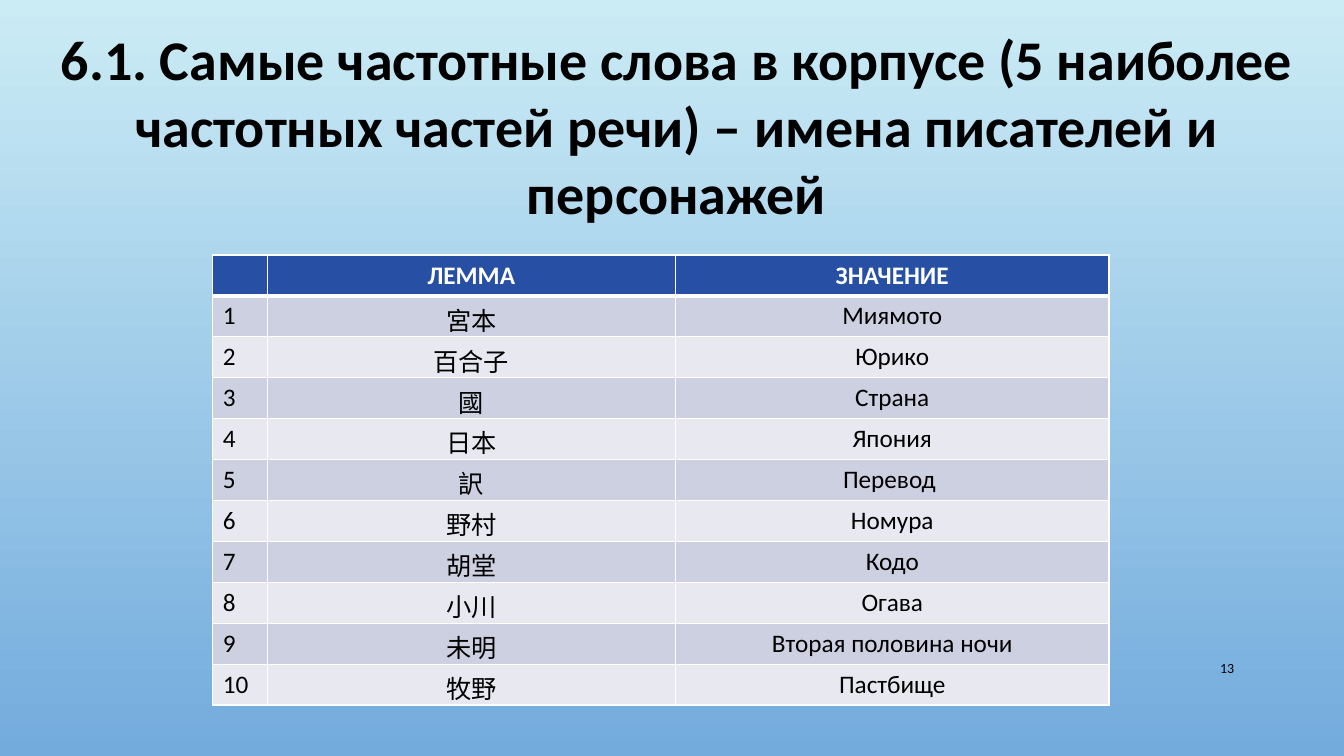
from lxml.etree import SubElement
from pptx import Presentation
from pptx.dml.color import RGBColor
from pptx.enum.text import MSO_ANCHOR, PP_ALIGN
from pptx.oxml.ns import qn
from pptx.util import Inches, Pt

BLACK = RGBColor(0x00, 0x00, 0x00)
WHITE = RGBColor(0xFF, 0xFF, 0xFF)
SKY_TOP = RGBColor(0xCB, 0xEC, 0xF5)
SKY_BOTTOM = RGBColor(0x73, 0xAB, 0xDD)
HEADER_BLUE = RGBColor(0x27, 0x4F, 0xA4)
BAND_DARK = RGBColor(0xCD, 0xD0, 0xE0)
BAND_LIGHT = RGBColor(0xE8, 0xE9, 0xF0)

TITLE = ("6.1. Самые частотные слова в корпусе (5 наиболее частотных "
         "частей речи) – имена писателей и персонажей")
HEADINGS = ("", "ЛЕММА", "ЗНАЧЕНИЕ")
LEMMAS = (
    ("宮本", "Миямото"),
    ("百合子", "Юрико"),
    ("國", "Страна"),
    ("日本", "Япония"),
    ("訳", "Перевод "),
    ("野村", "Номура"),
    ("胡堂", "Кодо"),
    ("小川", "Огава"),
    ("未明", "Вторая половина ночи"),
    ("牧野", "Пастбище"),
)


def write(frame, text, size=18, color=BLACK, bold=False,
          align=PP_ALIGN.CENTER, font="Calibri"):
    paragraph = frame.paragraphs[0]
    paragraph.alignment = align
    paragraph.font.size = Pt(size)
    if text:
        run = paragraph.add_run()
        run.text = text
        run.font.name = font
        run.font.size = Pt(size)
        run.font.bold = bold
        run.font.color.rgb = color


class SlideBuilder:
    def __init__(self, slide):
        self.slide = slide

    def background(self, top, bottom):
        fill = self.slide.background.fill
        fill.gradient()
        fill.gradient_angle = 270
        for stop, color, position in zip(fill.gradient_stops, (top, bottom), (0, 1)):
            stop.color.rgb = color
            stop.position = position

    def text(self, box, text, anchor=MSO_ANCHOR.TOP, **style):
        frame = self.slide.shapes.add_textbox(*map(Inches, box)).text_frame
        frame.word_wrap = True
        frame.vertical_anchor = anchor
        write(frame, text, **style)

    def borders(self, cell, **widths):
        properties = cell._tc.get_or_add_tcPr()
        for side in "LRTB":
            line = SubElement(properties, qn(f"a:ln{side}"),
                              w=str(Pt(widths.get(side, 1))))
            solid = SubElement(line, qn("a:solidFill"))
            SubElement(solid, qn("a:srgbClr"), val=str(WHITE))

    def table(self, left, top, column_widths, row_height, rows):
        table = self.slide.shapes.add_table(
            len(rows), len(column_widths), Inches(left), Inches(top),
            Inches(sum(column_widths)), Inches(row_height * len(rows))).table
        for column, width in zip(table.columns, column_widths):
            column.width = Inches(width)
        for r, row in enumerate(rows):
            table.rows[r].height = Inches(row_height)
            header = r == 0
            band = BAND_DARK if r % 2 else BAND_LIGHT
            for c, text in enumerate(row):
                cell = table.cell(r, c)
                # A thick rule parts the header from the body
                self.borders(cell, T=3 if r == 1 else 1, B=3 if header else 1)
                cell.fill.solid()
                cell.fill.fore_color.rgb = HEADER_BLUE if header else band
                write(cell.text_frame, text, bold=header,
                      color=WHITE if header else BLACK,
                      align=PP_ALIGN.CENTER if c else PP_ALIGN.LEFT)


def main():
    presentation = Presentation()
    presentation.slide_width = Inches(13.33)
    presentation.slide_height = Inches(7.5)
    builder = SlideBuilder(
        presentation.slides.add_slide(presentation.slide_layouts[6]))

    # Background
    builder.background(SKY_TOP, SKY_BOTTOM)

    # Slide number and title
    builder.text((11.5, 6.43, 0.84, 0.4), "13", MSO_ANCHOR.MIDDLE,
                 size=10, align=PP_ALIGN.RIGHT)
    builder.text((0.32, 0.19, 12.78, 2.12), TITLE, size=40, bold=True)

    # Frequency table
    numbered = [(str(n), *pair) for n, pair in enumerate(LEMMAS, 1)]
    builder.table(2.11, 2.53, (0.54, 4.05, 4.3), 0.406, [HEADINGS, *numbered])

    presentation.save("out.pptx")


if __name__ == "__main__":
    main()
